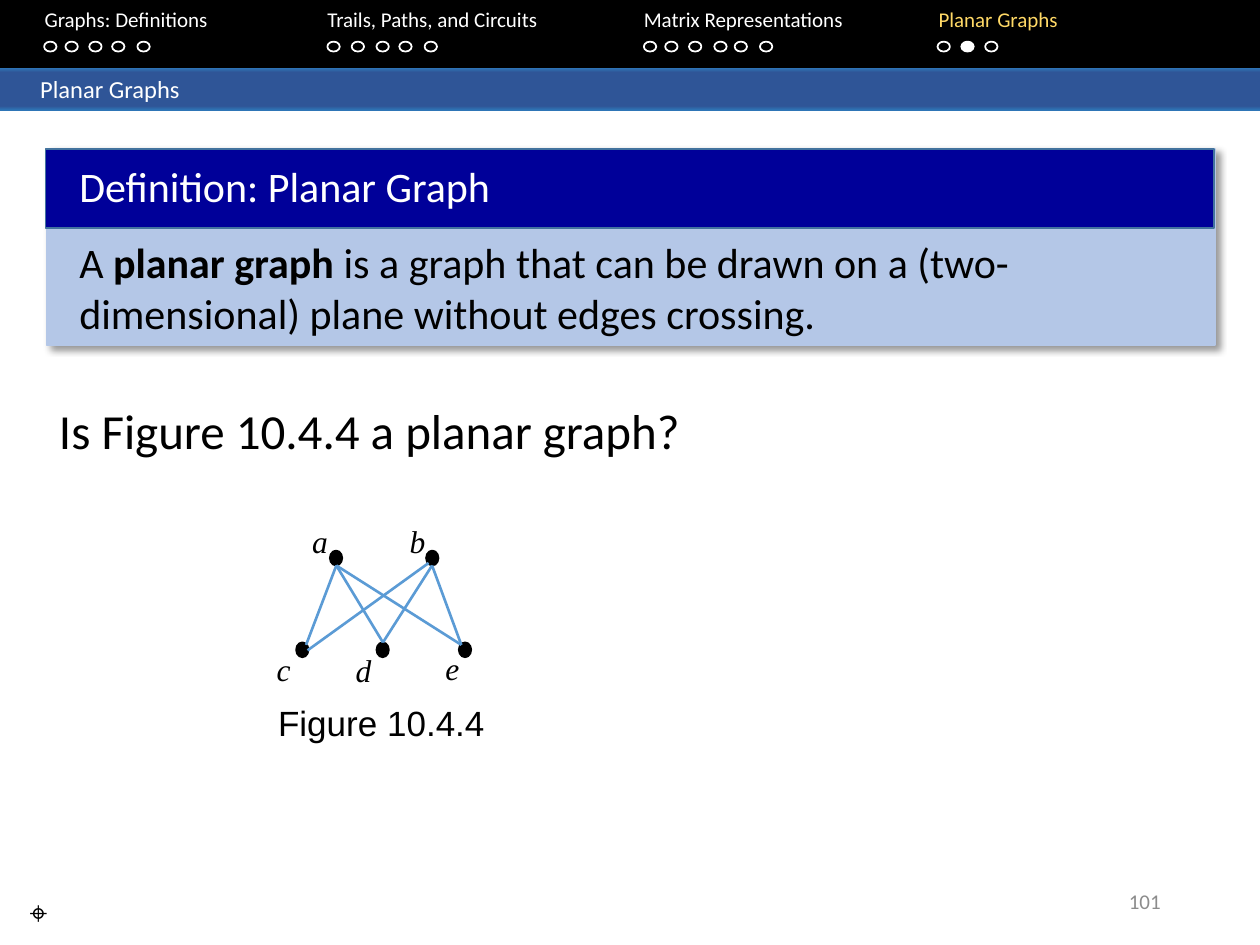
from lxml.etree import SubElement
from pptx import Presentation
from pptx.dml.color import RGBColor as Rgb
from pptx.enum.shapes import MSO_CONNECTOR as Connector, MSO_SHAPE as Shape
from pptx.enum.text import MSO_ANCHOR as Anchor, PP_ALIGN as Align
from pptx.oxml import parse_xml
from pptx.oxml.ns import nsdecls, qn
from pptx.util import Cm, Pt

COLOURS = {
    "black": "000000", "white": "FFFFFF", "gold": "FFD966", "grey": "8C8C8C",
    "edge": "5B9BD5", "band": "2F5597", "band_rim": "2E75B6",
    "title": "000099", "title_rim": "43739E", "body": "B4C7E7",
}


class SlideBuilder:
    """Holds the text style and the slide being drawn."""

    style = {"name": "Calibri", "size": Pt(12), "bold": False, "italic": False}

    def __init__(self, slide):
        self.slide = slide

    def colour(self, name):
        return Rgb.from_string(COLOURS[name])

    def shape(self, kind, at, fill=None, line=None):
        shape = self.slide.shapes.add_shape(kind, *map(Cm, at))
        shape.shadow.inherit = False
        if fill:
            shape.fill.solid()
            shape.fill.fore_color.rgb = self.colour(fill)
        else:
            shape.fill.background()
        if line:
            shape.line.color.rgb = self.colour(line)
            shape.line.width = Pt(1)
        else:
            shape.line.fill.background()
        return shape

    def gradient_band(self, at, stops):
        band = self.shape(Shape.RECTANGLE, at, "band")
        marks = "".join(
            f'<a:gs pos="{percent * 1000}"><a:srgbClr val="{COLOURS[name]}"/></a:gs>'
            for percent, name in stops)
        old_fill = band._element.spPr.find(qn("a:solidFill"))
        old_fill.getparent().replace(old_fill, parse_xml(
            f'<a:gradFill {nsdecls("a")}><a:gsLst>{marks}</a:gsLst>'
            '<a:lin ang="5400000" scaled="0"/></a:gradFill>'))

    def shadow(self, shape):
        effects = shape._element.spPr.find(qn("a:effectLst"))
        effects.append(parse_xml(
            f'<a:outerShdw {nsdecls("a")} blurRad="50800" dist="38100" dir="2700000" '
            'algn="tl" rotWithShape="0"><a:srgbClr val="000000">'
            '<a:alpha val="40000"/></a:srgbClr></a:outerShdw>'))

    def text(self, at, spans, size, colour="black", align=Align.LEFT,
             anchor=Anchor.TOP, tabs=(), **style):
        """Each span is a string, or a string with its own format values."""
        box = self.slide.shapes.add_textbox(*map(Cm, at))
        frame = box.text_frame
        frame.word_wrap, frame.vertical_anchor = True, anchor
        para = frame.paragraphs[0]
        para.alignment = align
        if tabs:
            tab_list = SubElement(para._p.get_or_add_pPr(), qn("a:tabLst"))
            for position in tabs:
                SubElement(tab_list, qn("a:tab"), pos=str(Cm(position)), algn="l")
        for item in [spans] if isinstance(spans, str) else spans:
            words, own = (item, {}) if isinstance(item, str) else item
            values = {**self.style, "size": Pt(size), **style, **own}
            span = para.add_run()
            span.text = words
            span.font.color.rgb = self.colour(values.pop("colour", colour))
            for key, value in values.items():
                setattr(span.font, key, value)

    def edge(self, start, end):
        line = self.slide.shapes.add_connector(
            Connector.STRAIGHT, *map(Cm, start + end))
        line.line.color.rgb = self.colour("edge")
        line.line.width = Pt(1.5)
        SubElement(line._element.spPr, qn("a:effectLst"))


def main():
    deck = Presentation()
    deck.slide_width, deck.slide_height = Cm(25.4), Cm(19.05)
    page = SlideBuilder(deck.slides.add_slide(deck.slide_layouts[6]))

    # Navigation bar with section names
    page.shape(Shape.RECTANGLE, (0, -0.05, 25.4, 1.42), "black")
    page.text((0, 0, 25.4, 1.27), [
        "\tGraphs: Definitions\tTrails, Paths, and Circuits\tMatrix Representations\t",
        ("Planar Graphs", {"colour": "gold"}),
    ], 12, "white", tabs=(0.65, 6.35, 12.73, 18.67))

    # Progress dots, one row per section
    current_dot = 19.38
    for section in (
        (0.89, 1.32, 1.8, 2.26, 2.77),
        (6.6, 7.09, 7.59, 8.05, 8.56),
        (12.98, 13.41, 13.89, 14.4, 14.81, 15.32),
        (18.9, current_dot, 19.86),
    ):
        for left in section:
            fill = "white" if left == current_dot else None
            page.shape(Shape.OVAL, (left, 0.84, 0.25, 0.2), fill, "white")

    # Section band
    page.gradient_band((0, 1.37, 25.4, 0.85), (
        (0, "band_rim"), (11, "band"), (91, "band"), (100, "band_rim")))
    page.text((0, 1.37, 25.4, 0.85), "\tPlanar Graphs", 14, "white",
              anchor=Anchor.MIDDLE, tabs=(0.56,))

    # Definition block
    block = page.shape(Shape.RECTANGLE, (0.94, 3, 23.55, 3.96), "body", "body")
    page.shadow(block)
    page.shape(Shape.RECTANGLE, (0.92, 3, 23.55, 1.6), "title", "title_rim")
    page.text((1.35, 3.12, 22.43, 1.27), "Definition: Planar Graph", 24, "white")
    page.text((1.35, 4.65, 22.43, 2.31), [
        "A ", ("planar graph ", {"bold": True}),
        "is a graph that can be drawn on a (two-dimensional) plane without edges crossing.",
    ], 24)

    # Question
    page.text((0.94, 7.95, 23.19, 1.45), "Is Figure 10.4.4 a planar graph?", 28)

    # Figure: vertex dots (left, top) and their labels (centre, top)
    vertices = {
        "a": ((6.65, 11.1), (6.45, 10.39)),
        "b": ((8.59, 11.1), (8.42, 10.39)),
        "c": ((5.97, 12.95), (5.72, 12.98)),
        "d": ((7.59, 12.95), (7.33, 13)),
        "e": ((9.25, 12.95), (9.12, 12.95)),
    }
    for name, (dot, (centre, top)) in vertices.items():
        page.shape(Shape.OVAL, (*dot, 0.25, 0.3), "black", "black")
        page.text((centre - 0.48, top, 0.96, 1.02), name, 18, align=Align.CENTER,
                  name="Times New Roman", italic=True)

    # Figure: every upper vertex joins every lower one
    for start, ends in (
        ((6.78, 11.4), ((6.17, 13), (7.72, 12.95), (9.3, 13))),
        ((8.71, 11.4), ((7.72, 12.95), (9.3, 13))),
        ((8.64, 11.35), ((6.2, 13.11),)),
    ):
        for end in ends:
            page.edge(start, end)
    page.text((4.72, 14.02, 5.94, 1.12), "Figure 10.4.4", 20,
              align=Align.CENTER, name="Arial")

    # Footer
    page.text((0, 17.88, 1.55, 1.02), "⌖", 18, align=Align.CENTER)
    page.text((17.93, 17.65, 5.72, 1.02), "101", 12, "grey", Align.RIGHT, Anchor.MIDDLE)

    deck.save("out.pptx")


if __name__ == "__main__":
    main()
